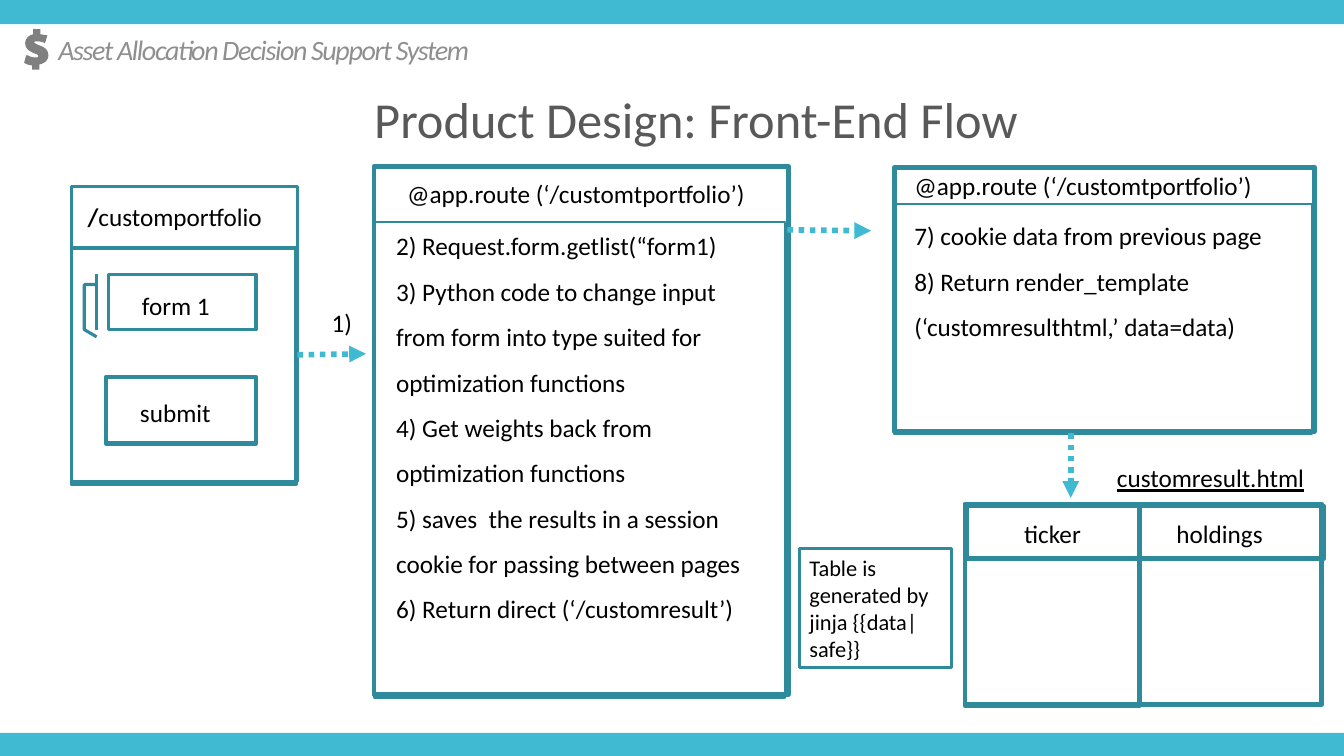
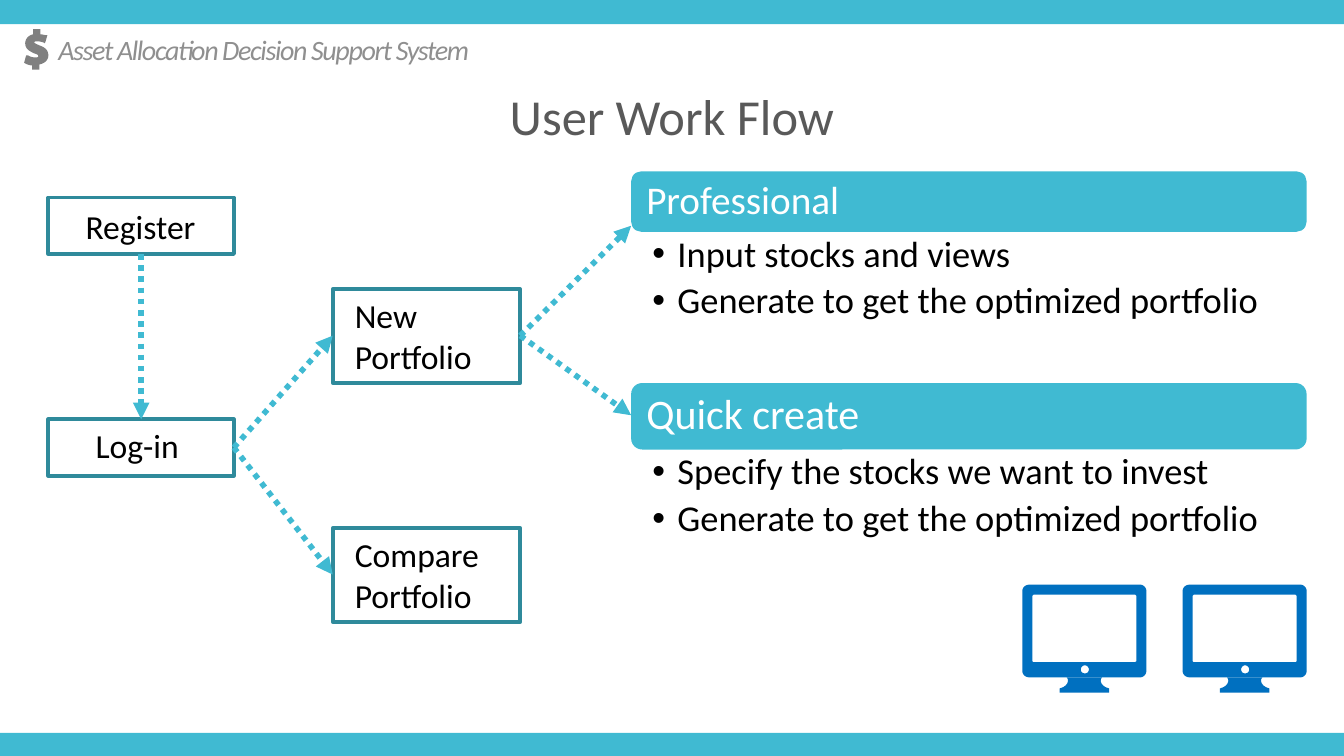
import pptx
import pptx.util
import pptx.dml.color
import pptx.enum.dml
import pptx.enum.shapes
import pptx.enum.text
import pptx.oxml
import pptx.oxml.ns
import lxml.etree

PX = 9144  # EMU per px, 100 px to the inch
SLIDE_W, SLIDE_H = 1333, 750
FONT = "Calibri"

RGB = pptx.dml.color.RGBColor
AQUA = RGB(0x40, 0xBA, 0xD2)
TEAL = RGB(0x2F, 0x8A, 0x9B)
WHITE = RGB(0xFF, 0xFF, 0xFF)
BLACK = RGB(0, 0, 0)
TITLE_GRAY = RGB(0x59, 0x59, 0x59)
HEADER_GRAY = RGB(0x8F, 0x8F, 0x8F)
DOLLAR_GRAY = RGB(0x80, 0x80, 0x80)
MONITOR_BLUE = RGB(0x00, 0x70, 0xC0)

SHAPE = pptx.enum.shapes.MSO_SHAPE
ALIGN = pptx.enum.text.PP_ALIGN
ANCHOR = pptx.enum.text.MSO_ANCHOR

# Outlines in px: pairs are straight segments, sixes are cubic curves
DOLLAR = [[
    (15, 40), (15, 35), (20, 34, 24, 31, 24, 26), (24, 21, 21, 18, 15, 16),
    (13, 15, 10, 14, 10, 13), (10, 12, 12, 12, 13, 12), (16, 12, 18, 13, 19, 13),
    (20, 14), (21, 13), (23, 6), (22, 6), (20, 6, 18, 5, 16, 5), (16, 0), (9, 0),
    (9, 5), (4, 6, 1, 10, 1, 14), (1, 20, 6, 22, 10, 24), (14, 25, 14, 26, 14, 27),
    (14, 28, 12, 28, 11, 28), (8, 28, 5, 27, 4, 26), (2, 26), (0, 33), (1, 34),
    (3, 35, 6, 36, 8, 36), (8, 40),
]]
MONITOR_BODY = [
    [(117, 0), (7, 0), (3, 0, 0, 3, 0, 6), (0, 86), (0, 89, 3, 92, 7, 92),
     (117, 92), (120, 92, 123, 89, 123, 86), (123, 6), (123, 3, 120, 0, 117, 0)],
    [(62, 88), (60, 88, 58, 87, 58, 84), (58, 82, 60, 80, 62, 80),
     (64, 80, 66, 82, 66, 84), (66, 87, 64, 88, 62, 88)],
    [(113, 76), (112, 77), (11, 77), (10, 76), (10, 11), (11, 10), (112, 10), (113, 11)],
]
MONITOR_STAND = [[
    (79, 92), (44, 92), (47, 95, 45, 101, 37, 103), (37, 107), (86, 107),
    (86, 103), (78, 101, 76, 95, 79, 92),
]]


def emu(*lengths):
    return [pptx.util.Emu(round(length * PX)) for length in lengths]


def add_box(slide, box, fill=None, line=None, weight=0, kind=SHAPE.RECTANGLE):
    shape = slide.shapes.add_shape(kind, *emu(*box))
    paint(shape, fill, line, weight)
    return shape


def paint(shape, fill, line=None, weight=0):
    shape.shadow.inherit = False
    if fill is None:
        shape.fill.background()
    else:
        shape.fill.solid()
        shape.fill.fore_color.rgb = fill
    if line is None:
        shape.line.fill.background()
    else:
        shape.line.color.rgb = line
        shape.line.width = pptx.util.Pt(weight)


def write(shape, lines, size, color=BLACK, align=ALIGN.LEFT, spacing=1.0,
          anchor=ANCHOR.TOP, wrap=True):
    frame = shape.text_frame
    frame.word_wrap = wrap
    frame.vertical_anchor = anchor
    frame.text = "\n".join(lines)
    for paragraph in frame.paragraphs:
        paragraph.alignment = align
        paragraph.line_spacing = spacing
        paragraph.font.name = FONT
        paragraph.font.size = pptx.util.Pt(size)
        paragraph.font.color.rgb = color
    return frame


def add_text(slide, box, lines, size=18, **style):
    return write(slide.shapes.add_textbox(*emu(*box)), lines, size, **style)


def add_arrow(slide, start, end):
    arrow = slide.shapes.add_connector(
        pptx.enum.shapes.MSO_CONNECTOR.STRAIGHT, *emu(*start, *end))
    arrow.line.color.rgb = AQUA
    arrow.line.width = pptx.util.Pt(4)
    arrow.line.dash_style = pptx.enum.dml.MSO_LINE.ROUND_DOT
    qn = pptx.oxml.ns.qn
    lxml.etree.SubElement(arrow.line._get_or_add_ln(), qn("a:tailEnd"), type="triangle")
    lxml.etree.SubElement(arrow._element.spPr, qn("a:effectLst"))


def flatten(outline, left, top, steps=6):
    """Turn an outline into points, sampling each cubic curve."""
    points = []
    for segment in outline:
        if len(segment) == 2:
            points.append(segment)
            continue
        x0, y0 = points[-1]
        x1, y1, x2, y2, x3, y3 = segment
        for step in range(1, steps + 1):
            t = step / steps
            a, b, c, d = (1 - t) ** 3, 3 * t * (1 - t) ** 2, 3 * t * t * (1 - t), t ** 3
            points.append((a * x0 + b * x1 + c * x2 + d * x3,
                           a * y0 + b * y1 + c * y2 + d * y3))
    return [emu(left + x, top + y) for x, y in points]


def add_outline(slide, origin, outlines, fill):
    first, *holes = [flatten(outline, *origin) for outline in outlines]
    builder = slide.shapes.build_freeform(*first[0], scale=1.0)
    builder.add_line_segments(first[1:], close=True)
    for hole in holes:
        builder.move_to(*hole[0])
        builder.add_line_segments(hole[1:], close=True)
    paint(builder.convert_to_shape(), fill)


# Bands, running header and title shared by the slides
def start_slide(deck, title, title_box):
    slide = deck.slides.add_slide(deck.slide_layouts[6])
    for band_top in (-1, 727):
        add_box(slide, (0, band_top, SLIDE_W, 25), fill=AQUA)
    header = add_box(slide, (48, 31, 427, 41), fill=WHITE)
    frame = write(header, ["Asset Allocation Decision Support System"], 20, HEADER_GRAY,
                  spacing=0.9, anchor=ANCHOR.MIDDLE, wrap=False)
    frame.paragraphs[0].font.italic = True
    frame.paragraphs[0].runs[0].font._element.set("spc", "-100")
    add_outline(slide, (24, 29), DOLLAR, DOLLAR_GRAY)
    add_text(slide, title_box, [title], 36, color=TITLE_GRAY, align=ALIGN.CENTER, spacing=0.9)
    return slide


# Page with a form and a submit button
def form_page(slide, box):
    left, top, width, height = box
    add_box(slide, box, line=TEAL, weight=2.25)
    add_box(slide, (left, top + 61, width - 1, height - 59), line=TEAL, weight=2.75)
    add_box(slide, (left + 37, top + 87, 146, 55), line=TEAL, weight=2.25,
            kind=SHAPE.LINE_CALLOUT_3_BORDER_AND_ACCENT_BAR)
    address = add_text(slide, (left + 6, top + 10, width - 6, 40), ["/"]).paragraphs[0]
    address.runs[0].font.bold = True
    address.add_run().text = "customportfolio"
    add_text(slide, (left + 60, top + 98, 111, 40), ["form 1"])
    add_box(slide, (left + 34, top + 189, 149, 66), line=TEAL, weight=3)
    add_text(slide, (left + 58, top + 204, 96, 40), ["submit"])


# Route panel: heading strip over numbered steps; offsets are from the corner
def route_panel(slide, box, strip, heading_offset, steps_offset, steps_width, steps):
    left, top, width, height = box
    add_box(slide, box, line=TEAL, weight=3.25)
    add_box(slide, (left, top + strip, width - 3, height - strip + 3), line=TEAL, weight=1.5)
    dx, dy = heading_offset
    add_text(slide, (left + dx, top + dy, 370, 40), ["@app.route (‘/customtportfolio’)"])
    dx, dy = steps_offset
    add_text(slide, (left + dx, top + dy, steps_width, height - dy), steps, spacing=1.5)


# Sketch of the result page
def result_page(slide, box):
    left, top, width, height = box
    add_box(slide, box, line=TEAL, weight=3.25)
    add_box(slide, (left + 2, top + 2, width, 52), line=TEAL, weight=3.25)
    add_box(slide, (left, top + 2, 173, height - 1), line=TEAL, weight=3.25)
    for heading, dx in (("ticker", 49), ("holdings", 200)):
        add_text(slide, (left + dx, top + 9, 110, 40), [heading])
    file_name = add_text(slide, (left + 141, top - 46, 212, 40), ["customresult.html"])
    file_name.paragraphs[0].font.underline = True


# Step of the user flow
def flow_step(slide, box, label, label_offset, label_width):
    left, top, width, height = box
    add_box(slide, box, line=TEAL, weight=2.75, kind=SHAPE.FLOWCHART_PROCESS)
    dx, dy = label_offset
    add_text(slide, (left + dx, top + dy, label_width, height - 2 * dy), [label], 24)


# Option: coloured heading bar over bullets
def option_panel(slide, box, bar_height, heading, heading_size, bullets):
    left, top, width, height = box
    add_box(slide, (left, top, width, bar_height), fill=AQUA, kind=SHAPE.ROUNDED_RECTANGLE)
    label = add_text(slide, (left + 3, top + 3, width - 6, bar_height - 6), [heading],
                     heading_size, color=WHITE, spacing=0.9, anchor=ANCHOR.MIDDLE)
    label.margin_left, label.margin_top, label.margin_right, label.margin_bottom = emu(12, 12, 12, 12)
    body = add_text(slide, (left, top + bar_height, width, height - bar_height),
                    bullets, 26, spacing=0.9)
    body.margin_left, body.margin_top, body.margin_right, body.margin_bottom = emu(21, 4, 20, 4)
    for paragraph in body.paragraphs:
        paragraph.space_after = pptx.util.Pt(5.2)
        properties = paragraph._p.get_or_add_pPr()
        properties.set("marL", str(25 * PX))
        properties.set("indent", str(-25 * PX))
        lxml.etree.SubElement(properties, pptx.oxml.ns.qn("a:buFont"), typeface="Arial")
        lxml.etree.SubElement(properties, pptx.oxml.ns.qn("a:buChar"), char="•")
        # Bullet settings come before the default run settings
        defaults = properties.find(pptx.oxml.ns.qn("a:defRPr"))
        if defaults is not None:
            properties.append(defaults)


def front_end_slide(deck):
    slide = start_slide(deck, "Product Design: Front-End Flow", (319, 89, 743, 66))
    form_page(slide, (71, 185, 224, 293))
    add_text(slide, (319, 300, 47, 40), ["1)"])
    route_panel(slide, (371, 165, 411, 524), 55, (23, 7), (12, 44), 368, [
        "2) Request.form.getlist(“form1)",
        "3) Python code to change input from form into type suited for optimization functions",
        "4) Get weights back from optimization functions",
        "5) saves  the results in a session cookie for passing between pages",
        "6) Return direct (‘/customresult’)",
    ])
    route_panel(slide, (887, 166, 417, 262), 36, (10, -2), (10, 33), 399, [
        "7) cookie data from previous page",
        "8) Return render_template (‘customresulthtml,’ data=data)",
    ])
    result_page(slide, (957, 500, 354, 199))
    table_note = add_box(slide, (793, 544, 151, 118), line=TEAL, weight=2)
    write(table_note, ["Table is generated by jinja {{data|safe}}"], 16, anchor=ANCHOR.MIDDLE)
    for start, end in (((295, 352), (363, 351)), ((781, 228), (864, 229)),
                       ((1062, 430), (1062, 494))):
        add_arrow(slide, start, end)


def user_flow_slide(deck):
    slide = start_slide(deck, "User Work Flow", (295, 86, 743, 66))
    flow_step(slide, (48, 196, 184, 56), "Register", (27, 3), 136)
    flow_step(slide, (48, 416, 184, 56), "Log-in", (37, 1), 110)
    flow_step(slide, (330, 287, 186, 93), "New Portfolio", (12, 1), 149)
    flow_step(slide, (330, 524, 186, 93), "Compare Portfolio", (12, 1), 149)
    generate = "Generate to get the optimized portfolio"
    option_panel(slide, (626, 170, 670, 210), 60, "Professional", 28,
                 ["Input stocks and views", generate])
    option_panel(slide, (626, 380, 670, 180), 66, "Quick create", 30,
                 ["Specify the stocks we want to invest", generate])
    log_in, new_portfolio = (232, 444), (516, 333)
    for start, end in (((140, 252), (140, 416)), (log_in, (330, 333)), (log_in, (330, 570)),
                       (new_portfolio, (626, 224)), (new_portfolio, (626, 412))):
        add_arrow(slide, start, end)
    for monitor_left in (1014, 1173):
        for part in (MONITOR_BODY, MONITOR_STAND):
            add_outline(slide, (monitor_left, 580), part, MONITOR_BLUE)


def main():
    deck = pptx.Presentation()
    deck.slide_width, deck.slide_height = emu(SLIDE_W, SLIDE_H)
    front_end_slide(deck)
    user_flow_slide(deck)
    deck.save("out.pptx")


if __name__ == "__main__":
    main()
